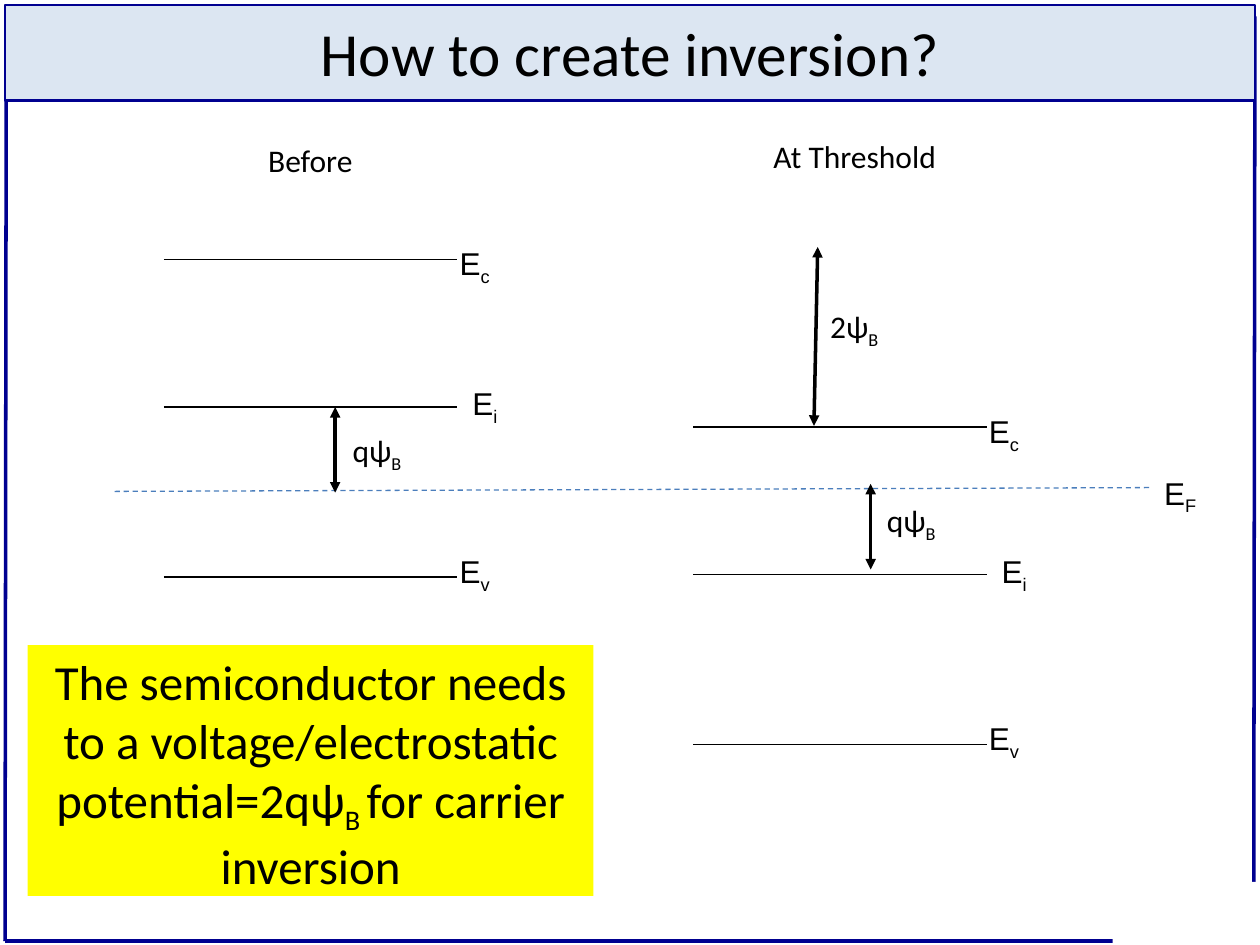
"""Build a slide of energy bands before and at the inversion threshold."""
from lxml.etree import SubElement as Sub
from pptx import Presentation
from pptx.dml.color import RGBColor as Rgb
from pptx.enum.dml import MSO_LINE as Dash
from pptx.enum.shapes import MSO_CONNECTOR as Conn, MSO_SHAPE as Shape
from pptx.enum.text import MSO_ANCHOR as Anchor, MSO_AUTO_SIZE as Auto, PP_ALIGN as Align
from pptx.oxml.ns import qn
from pptx.util import Inches, Pt

COLS, ROWS = 10, 7.5
BLACK, NAVY, BLUE = "000000", "000090", "4B7EBC"
PALE, WHITE, YELLOW = "DCE6F2", "FFFFFF", "FFFF00"

TITLE = [("How to create inversion?", False)]
NOTE = [
    ("The semiconductor needs to a voltage/electrostatic potential=2qψ", False),
    ("B ", True),
    ("for carrier inversion", False),
]
BANDS = [(1.3, 2.06), (5.5, 3.39)]
SPAN = 2.33
LEVELS = [("c", 0, 2.25, -0.17, 0.45), ("i", 1.17, 2.35, 0.94, 0.41), ("v", 2.52, 2.25, 2.27, 0.45)]
HEADS = [("Before", 2.03, 1.07, 0.88), ("At Threshold", 6.04, 1.04, 1.51)]
GAPS = [
    ("qψ", (2.66, 3.23, 2.66, 3.91), (2.7, 3.37, 0.61)),
    ("qψ", (6.91, 3.84, 6.91, 4.52), (6.94, 3.93, 0.61)),
    ("2ψ", (6.49, 1.96, 6.46, 3.38), (6.49, 2.39, 0.6)),
]
FRAME = [(9.96, 0.13, 9.95, 7.45), (0.05, 0.15, 0.04, 7.47)]
BASE = (0.04, 7.47, 9.95, 7.47)

deck = Presentation()
deck.slide_width, deck.slide_height = Inches(COLS), Inches(ROWS)
slide = deck.slides.add_slide(deck.slide_layouts[6])
shapes = slide.shapes


def color(code):
    return Rgb.from_string(code)


def grid(*spots):
    return [Inches(spot) for spot in spots]


def rule(ends, tint=BLACK, width=0.75, dash=False, arrows=False):
    line = shapes.add_connector(Conn.STRAIGHT, *grid(*ends))
    line.line.color.rgb = color(tint)
    line.line.width = Pt(width)
    if dash:
        line.line.dash_style = Dash.DASH
    if arrows:
        for end in ("a:headEnd", "a:tailEnd"):
            Sub(line.line._get_or_add_ln(), qn(end), type="triangle")
    Sub(line._element.spPr, qn("a:effectLst"))


def block(area, fill, edge=None):
    rect = shapes.add_shape(Shape.RECTANGLE, *grid(*area))
    rect.shadow.inherit = False
    rect.fill.solid()
    rect.fill.fore_color.rgb = color(fill)
    if edge:
        rect.line.color.rgb = color(edge)
        rect.line.width = Pt(1.5)
    else:
        rect.line.fill.background()
    return rect


def write(shape, runs, size=18, face="Calibri", align=Align.LEFT, wrap=True, anchor=Anchor.TOP):
    frame = shape.text_frame
    frame.word_wrap, frame.vertical_anchor = wrap, anchor
    para = frame.paragraphs[0]
    para.alignment = align
    for text, low in runs:
        run = para.add_run()
        run.text = text
        run.font.size, run.font.name = Pt(size), face
        run.font.color.rgb = color(BLACK)
        if low:
            run._r.get_or_add_rPr().set("baseline", "-25000")


def label(runs, left, top, width, face="Calibri"):
    box = shapes.add_textbox(*grid(left, top, width, 0.4))
    write(box, runs, face=face, wrap=False)
    box.text_frame.auto_size = Auto.SHAPE_TO_FIT_TEXT


def main():
    for side in FRAME:
        rule(side, NAVY, 2)
    block((0.04, 0.04, 9.92, 0.76), PALE, NAVY)
    rule(BASE, NAVY, 2)
    block((8.83, 7, 1.17, 0.5), WHITE)

    for left, top in BANDS:
        for sub, drop, right, down, width in LEVELS:
            rule((left, top + drop, left + SPAN, top + drop))
            label([("E", False), (sub, True)], left + right, top + down, width, "Arial")
    rule((0.91, 3.9, 9.14, 3.87), BLUE, dash=True)
    label([("E", False), ("F", True)], 9.14, 3.71, 0.47, "Arial")

    for text, ends, spot in GAPS:
        rule(ends, width=2, arrows=True)
        label([(text, False), ("B", True)], *spot)
    for text, *spot in HEADS:
        label([(text, False)], *spot)

    title = shapes.add_textbox(*grid(0.5, -0.21, 9, 1.25))
    write(title, TITLE, 35, align=Align.CENTER, anchor=Anchor.MIDDLE)
    note = block((0.22, 5.12, 4.49, 1.99), YELLOW)
    write(note, NOTE, 28, align=Align.CENTER)
    deck.save("out.pptx")


if __name__ == "__main__":
    main()
